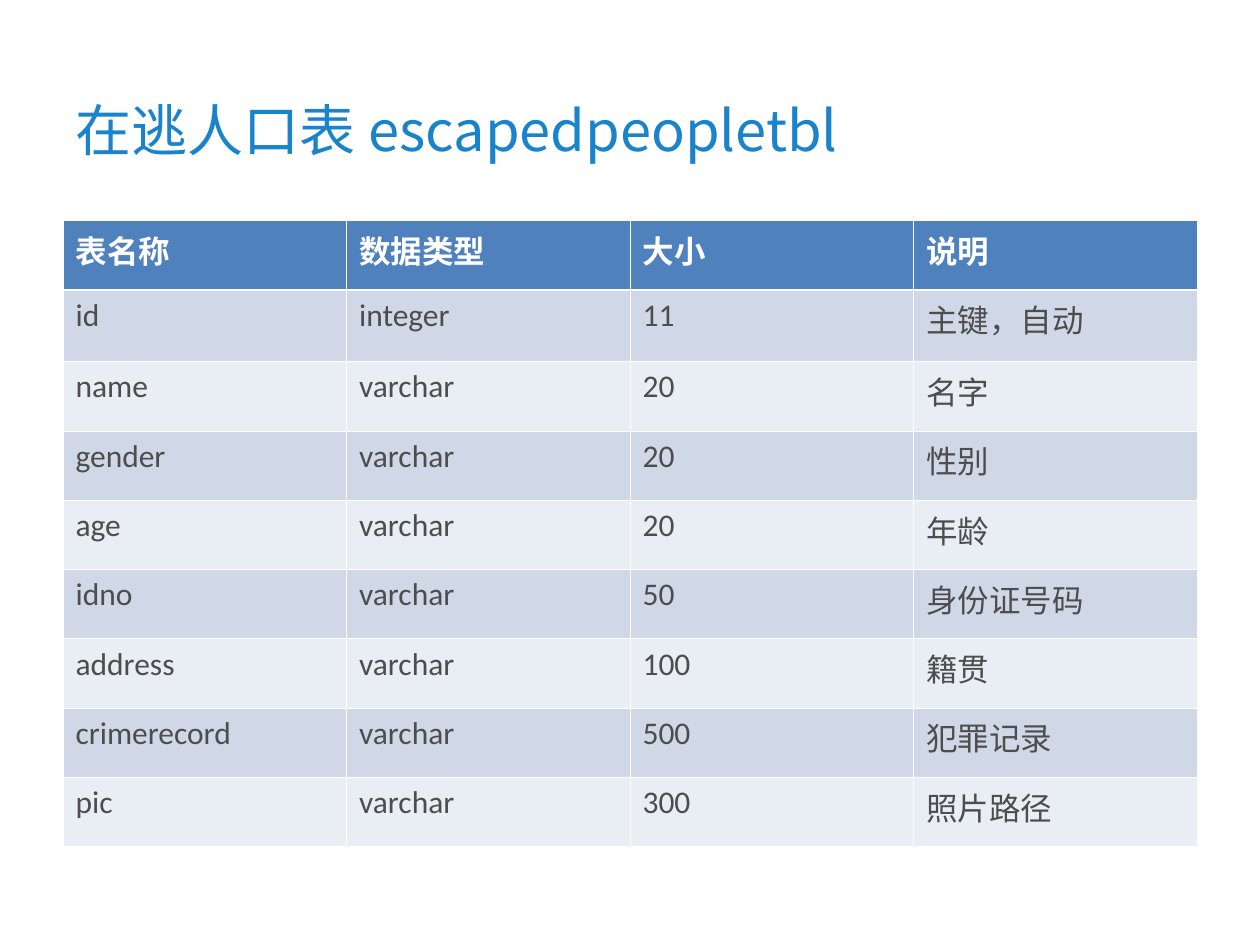
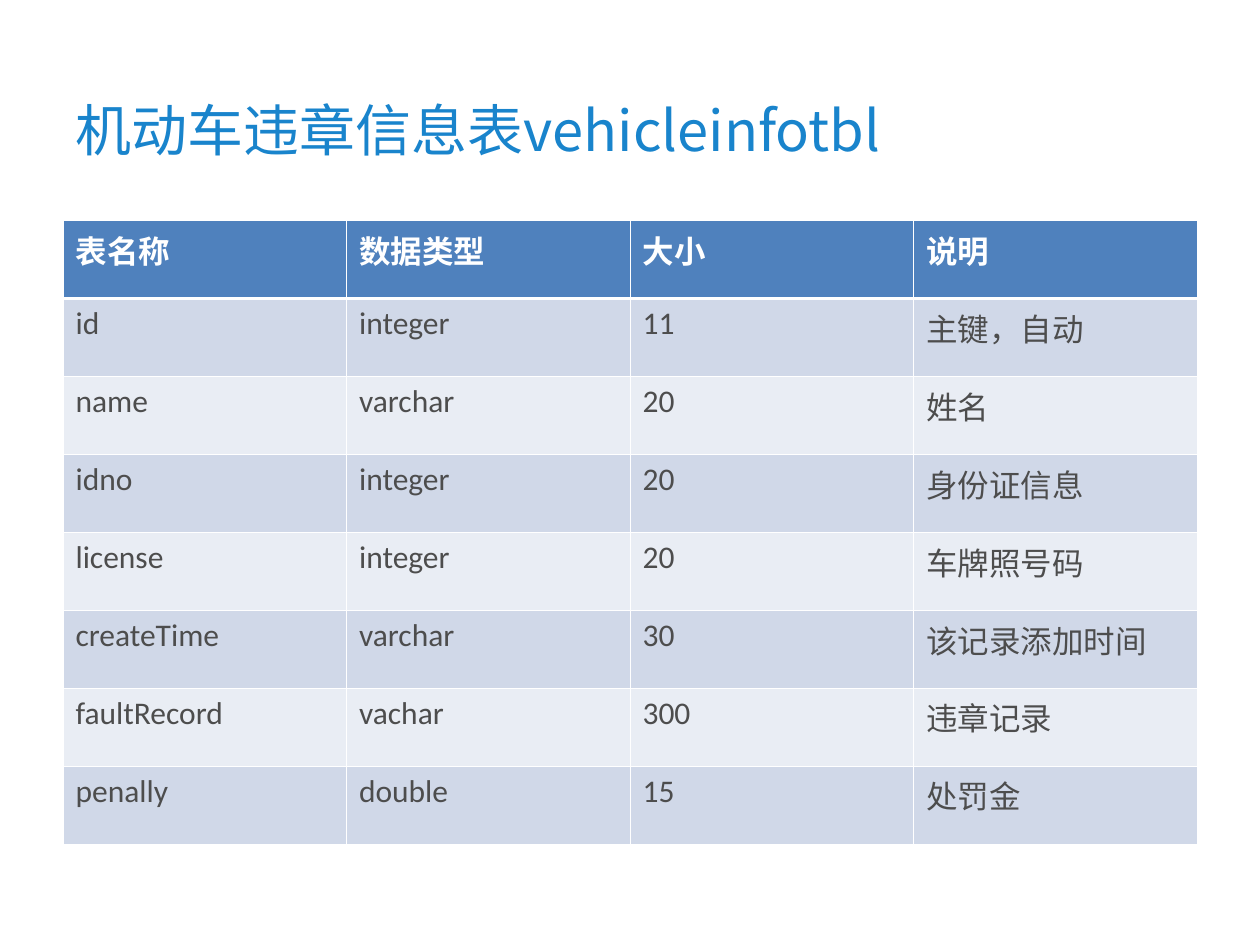
import pptx
import pptx.dml.color
import pptx.enum.text
import pptx.oxml
import pptx.oxml.ns
import pptx.util

GRID_COLUMNS, GRID_ROWS = 20, 30
TITLE_BOX = (1, 2, 18, 4.2)
TABLE_BOX = (1, 7, 18, 19.8)
EAST_ASIAN_FONT = "Noto Sans CJK SC"
BODY_FONT = "Calibri"
TITLE_BLUE, HEADER_BLUE = "1984CC", "4F81BD"
BANDS = ("E9EDF4", "D0D8E8")
WHITE, BODY_GREY = "FFFFFF", "4D4D4D"
THIN, THICK = 0.45, 1.47

HEADINGS = ("表名称", "数据类型", "大小", "说明")
ESCAPED_PEOPLE = (
    ("id", "integer", "11", "主键，自动"),
    ("name", "varchar", "20", "名字"),
    ("gender", "varchar", "20", "性别"),
    ("age", "varchar", "20", "年龄"),
    ("idno", "varchar", "50", "身份证号码"),
    ("address", "varchar", "100", "籍贯"),
    ("crimerecord", "varchar", "500", "犯罪记录"),
    ("pic", "varchar", "300", "照片路径"),
)
VEHICLE_FAULTS = (
    ("id", "integer", "11", "主键，自动"),
    ("name", "varchar", "20", "姓名"),
    ("idno", "integer", "20", "身份证信息"),
    ("license", "integer", "20", "车牌照号码"),
    ("createTime", "varchar", "30", "该记录添加时间"),
    ("faultRecord", "vachar", "300", "违章记录"),
    ("penally", "double", "15", "处罚金"),
)


def color(hex_string):
    """Turn a hex string into a colour."""
    return pptx.dml.color.RGBColor.from_string(hex_string)


def place(deck, box):
    """Turn a box of grid columns and rows into slide lengths."""
    column, row = deck.slide_width / GRID_COLUMNS, deck.slide_height / GRID_ROWS
    return [round(size * step) for size, step in zip(box, (column, row) * 2)]


def write(frame, text, font=BODY_FONT, size=18, ink=BODY_GREY, bold=False):
    """Write one formatted line into a text frame."""
    span = frame.paragraphs[0].add_run()
    span.text = text
    span.font.size = pptx.util.Pt(size)
    span.font.bold = bold
    span.font.color.rgb = color(ink)
    span.font.name = font
    east_asian = pptx.oxml.ns.qn("a:ea")
    span.font._element.makeelement(east_asian)
    latin = span.font._element.find(pptx.oxml.ns.qn("a:latin"))
    latin.addnext(latin.makeelement(east_asian, {"typeface": EAST_ASIAN_FONT}))


def add_border(cell, side, width):
    """Draw one white edge of a cell."""
    edge = pptx.oxml.parse_xml(
        f'<a:ln{side} {pptx.oxml.ns.nsdecls("a")} w="{pptx.util.Pt(width)}">'
        f'<a:solidFill><a:srgbClr val="{WHITE}"/></a:solidFill></a:ln{side}>'
    )
    cell._tc.get_or_add_tcPr().append(edge)


def add_title(deck, page, box, text):
    """Add the slide title, centred vertically in its box."""
    frame = page.shapes.add_textbox(*place(deck, box)).text_frame
    frame.word_wrap = True
    frame.vertical_anchor = pptx.enum.text.MSO_ANCHOR.MIDDLE
    write(frame, text, font=EAST_ASIAN_FONT, size=32, ink=TITLE_BLUE)


def add_field_table(deck, page, box, fields, first_field_extra):
    """Add the banded table of fields, with equal rows below the header."""
    records = (HEADINGS,) + fields
    left, top, width, height = place(deck, box)
    extra = place(deck, (0, first_field_extra))[1]
    table = page.shapes.add_table(
        len(records), len(HEADINGS), left, top, width, height + extra
    ).table
    table.first_row = table.horz_banding = False
    for index, record in enumerate(records):
        is_header = index == 0
        table.rows[index].height = height // len(records) + extra * (index == 1)
        for cell, text in zip(table.rows[index].cells, record):
            add_border(cell, "L", THIN)
            add_border(cell, "R", THIN)
            add_border(cell, "T", THICK if index == 1 else THIN)
            add_border(cell, "B", THICK if is_header else THIN)
            cell.fill.solid()
            cell.fill.fore_color.rgb = color(HEADER_BLUE if is_header else BANDS[index % 2])
            write(cell.text_frame, text, ink=WHITE if is_header else BODY_GREY, bold=is_header)


def add_table_page(deck, title, fields, first_field_extra=0):
    """Add a slide that describes one database table."""
    page = deck.slides.add_slide(deck.slide_layouts[6])
    add_title(deck, page, TITLE_BOX, title)
    add_field_table(deck, page, TABLE_BOX, fields, first_field_extra)


def main():
    """Build and save the deck."""
    deck = pptx.Presentation()
    deck.slide_width, deck.slide_height = pptx.util.Inches(10), pptx.util.Inches(7.5)
    add_table_page(deck, "在逃人口表 escapedpeopletbl", ESCAPED_PEOPLE, first_field_extra=0.08)
    add_table_page(deck, "机动车违章信息表vehicleinfotbl", VEHICLE_FAULTS)
    deck.save("out.pptx")


if __name__ == "__main__":
    main()
